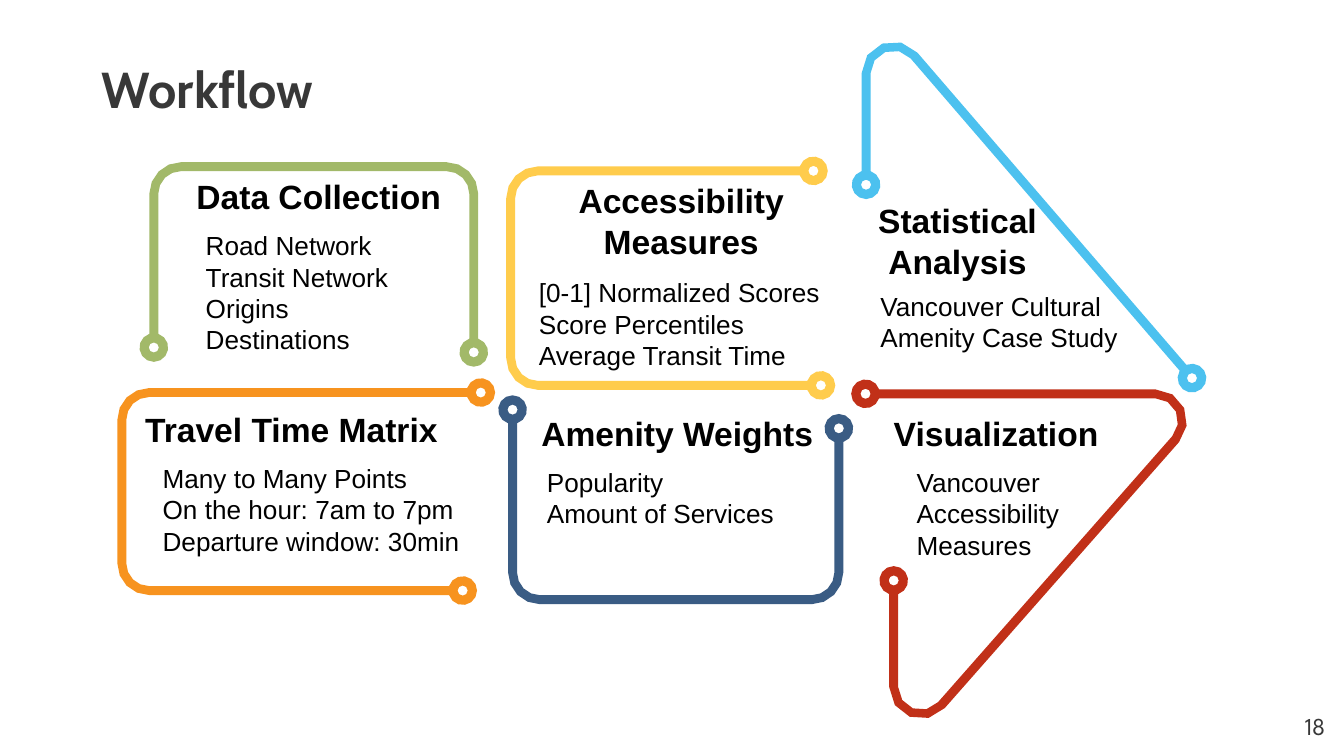
import math
from dataclasses import dataclass

from pptx import Presentation
from pptx import util as u
from pptx.dml import color
from pptx.enum import text

BEND_RADIUS = 14.6
HALF_WIDTH = 2.4
RING_RADIUS = 7.7
HOLE_RADIUS = 2.7
BEND_STEPS = 4
RING_STEPS = 12
HOLE_STEPS = 8
TEXT_INSETS = (0, 3.6, 0, 3.6)
TITLE_INSETS = (7.2, 7.2, 7.2, 7.2)
TOP, MIDDLE, BOTTOM = text.MSO_ANCHOR.TOP, text.MSO_ANCHOR.MIDDLE, text.MSO_ANCHOR.BOTTOM
LEFT, CENTER = text.PP_ALIGN.LEFT, text.PP_ALIGN.CENTER
RIGHT, JUSTIFY = text.PP_ALIGN.RIGHT, text.PP_ALIGN.JUSTIFY

Box = tuple[float, float, float, float]


@dataclass(frozen=True)
class Band:
    hex_color: str
    route: list[complex]


@dataclass(frozen=True)
class Style:
    font: str
    size: float
    hex_color: str
    bold: bool = False
    align: text.PP_ALIGN = LEFT
    anchor: text.MSO_ANCHOR = TOP
    insets: Box = TEXT_INSETS


@dataclass(frozen=True)
class Topic:
    heading: str
    heading_box: Box
    lines: list[str]
    lines_box: Box
    heading_align: text.PP_ALIGN = CENTER
    lines_align: text.PP_ALIGN = LEFT


BANDS = [
    Band("C13018", [463.7 + 211j, 651.2 + 211j, 478.8 + 406.8j, 478.8 + 311j]),
    Band("A2B969", [82.4 + 186.2j, 82.4 + 89.3j, 253.8 + 89.3j, 253.8 + 188.8j]),
    Band("FFCC4C", [435.8 + 91.6j, 273.6 + 91.6j, 273.6 + 206.5j, 439.8 + 206.5j]),
    Band("F7931F", [257.6 + 210.3j, 65.3 + 210.3j, 65.3 + 316.4j, 247.9 + 316.4j]),
    Band("3A5C84", [274.6 + 219.5j, 274.6 + 321.3j, 449.4 + 321.3j, 449.4 + 229.5j]),
    Band("4CC1EF", [464 + 99j, 464 + 0j, 638.6 + 202.6j]),
]

TOPICS = [
    Topic("Data Collection", (103, 92.2, 135.4, 27.4),
          ["Road Network", "Transit Network", "Origins", "Destinations"],
          (110.2, 119.5, 128.2, 75.6), lines_align=JUSTIFY),
    Topic("Travel Time Matrix", (77, 216.7, 158.4, 27.4),
          ["Many to Many Points", "On the hour: 7am to 7pm", "Departure window: 30min"],
          (87.1, 244.1, 162, 73.4), lines_align=JUSTIFY),
    Topic("Amenity Weights", (277.9, 215.3, 169.9, 31),
          ["Popularity", "Amount of Services"],
          (293, 246.2, 146.9, 41.8)),
    Topic("Accessibility Measures", (285.8, 92.2, 158.4, 51.1),
          ["[0-1] Normalized Scores", "Score Percentiles", "Average Transit Time"],
          (288.7, 144.7, 158.4, 51.1)),
    Topic("Visualization", (478.8, 218.9, 112.3, 27.4),
          ["Vancouver Accessibility Measures"],
          (491, 246.2, 87.1, 73.4), heading_align=LEFT),
    Topic("Statistical Analysis", (462.2, 111.6, 101.5, 42.5),
          ["Vancouver Cultural Amenity Case Study"],
          (471.6, 151.9, 128.2, 38.9)),
]


def rgb(hex_color: str) -> color.RGBColor:
    return color.RGBColor.from_string(hex_color)


def turn(angle: float) -> complex:
    return complex(math.cos(angle), math.sin(angle))


def arc(center: complex, radius: float, start: float, end: float, steps: int) -> list[complex]:
    return [center + radius * turn(start + (end - start) * step / steps)
            for step in range(steps + 1)]


def ring_cap(center: complex, outward: complex) -> list[complex]:
    heading = math.atan2(outward.imag, outward.real)
    reach = math.pi - math.asin(HALF_WIDTH / RING_RADIUS)
    return arc(center, RING_RADIUS, heading + reach, heading - reach, RING_STEPS)


def bend(corner: complex, before: complex, after: complex, offset: float) -> list[complex]:
    ratio = after / before
    angle = math.atan2(ratio.imag, ratio.real)
    radius = math.copysign(BEND_RADIUS, angle)
    tangent = BEND_RADIUS * math.tan(abs(angle) / 2)
    center = corner - before * tangent + 1j * before * radius
    return [center + 1j * before * turn(angle * step / BEND_STEPS) * (offset - radius)
            for step in range(BEND_STEPS + 1)]


def band_contours(route: list[complex]) -> list[list[complex]]:
    headings = [(end - start) / abs(end - start) for start, end in zip(route, route[1:])]
    corners = list(zip(route[1:-1], headings, headings[1:]))
    one_side, other_side = (
        [point for corner in corners for point in bend(*corner, offset)]
        for offset in (HALF_WIDTH, -HALF_WIDTH))
    outline = (one_side + ring_cap(route[-1], headings[-1])
               + other_side[::-1] + ring_cap(route[0], -headings[0]))
    holes = [arc(end, HOLE_RADIUS, 0, 2 * math.pi, HOLE_STEPS)[:-1]
             for end in (route[0], route[-1])]
    return [outline, *holes]


def draw_band(shapes, band: Band) -> None:
    contours = [[(u.Pt(point.real), u.Pt(point.imag)) for point in contour]
                for contour in band_contours(band.route)]
    builder = shapes.build_freeform(*contours[0][0])
    builder.add_line_segments(contours[0][1:], close=True)
    for hole in contours[1:]:
        builder.move_to(*hole[0])
        builder.add_line_segments(hole[1:], close=True)
    outline = builder.convert_to_shape()
    outline.shadow.inherit = False
    outline.fill.solid()
    outline.fill.fore_color.rgb = rgb(band.hex_color)
    outline.line.fill.background()


def draw_text(shapes, box: Box, lines: list[str], style: Style) -> None:
    frame = shapes.add_textbox(*map(u.Pt, box)).text_frame
    frame.word_wrap = True
    frame.vertical_anchor = style.anchor
    (frame.margin_left, frame.margin_top,
     frame.margin_right, frame.margin_bottom) = map(u.Pt, style.insets)
    frame.text = "\n".join(lines)
    for paragraph in frame.paragraphs:
        paragraph.alignment = style.align
        paragraph.font.name = style.font
        paragraph.font.size = u.Pt(style.size)
        paragraph.font.bold = style.bold
        paragraph.font.color.rgb = rgb(style.hex_color)


def draw_topic(shapes, topic: Topic) -> None:
    group = shapes.add_group_shape().shapes
    draw_text(group, topic.heading_box, [topic.heading],
              Style("Arial", 18, "000000", True, topic.heading_align, BOTTOM))
    draw_text(group, topic.lines_box, topic.lines,
              Style("Arial", 14, "000000", align=topic.lines_align))


def main() -> None:
    deck = Presentation()
    deck.slide_width, deck.slide_height = u.Pt(720), u.Pt(405)
    shapes = deck.slides.add_slide(deck.slide_layouts[6]).shapes
    for band in BANDS:
        draw_band(shapes, band)
    for topic in TOPICS:
        draw_topic(shapes, topic)
    draw_text(shapes, (47.5, 26.6, 303.8, 41.8), ["Workflow"],
              Style("Cabin", 27, "383838", True, LEFT, MIDDLE, TITLE_INSETS))
    draw_text(shapes, (673.9, 373.7, 43.2, 31), ["18"],
              Style("League Spartan", 13, "383838", align=RIGHT, insets=TITLE_INSETS))
    deck.save("out.pptx")


if __name__ == "__main__":
    main()
